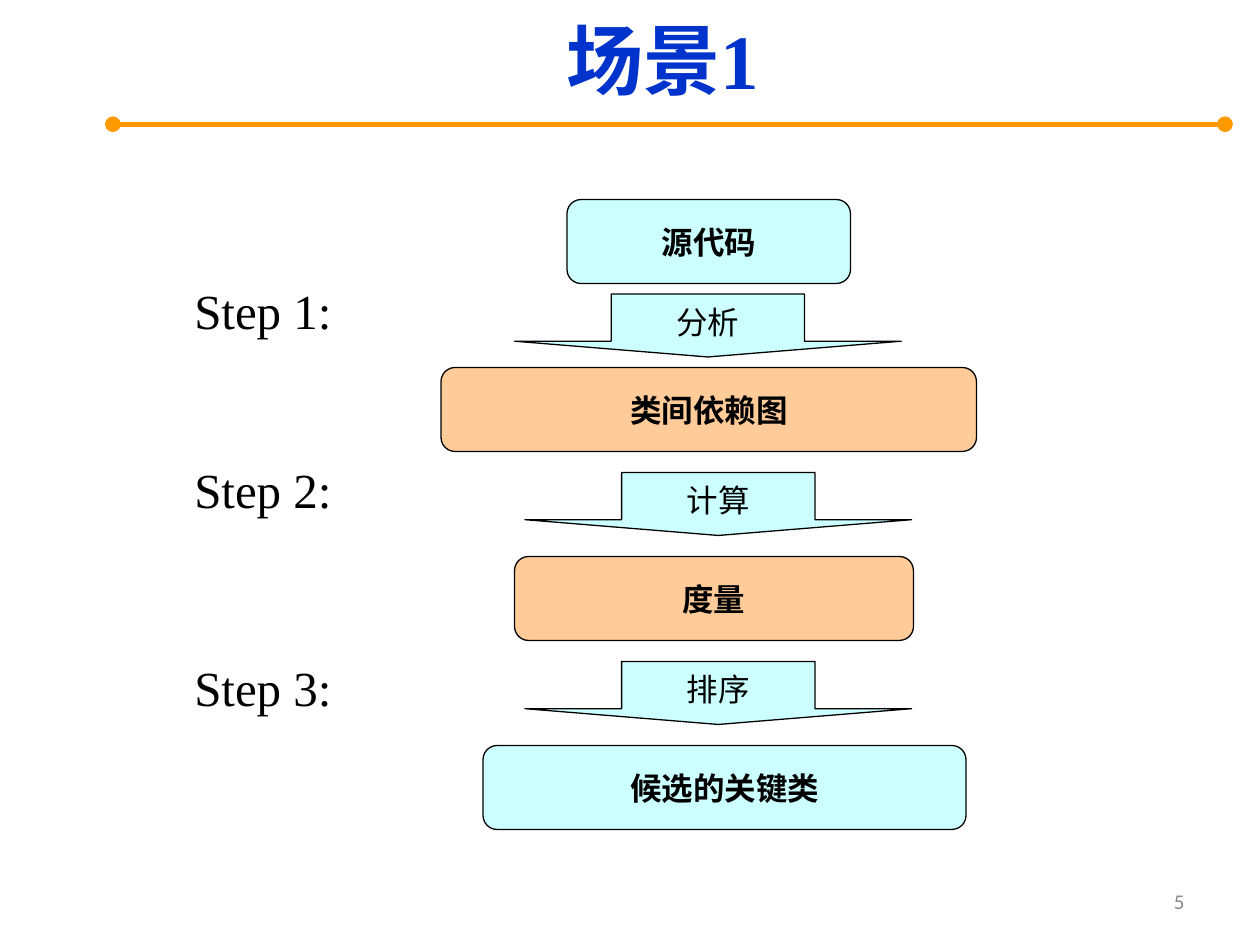
import dataclasses

import lxml.etree
import pptx
import pptx.dml.color
import pptx.enum.shapes
import pptx.enum.text
import pptx.oxml.ns
import pptx.util

Pt = pptx.util.Pt
Kind = pptx.enum.shapes.MSO_SHAPE
Align = pptx.enum.text.PP_ALIGN
Anchor = pptx.enum.text.MSO_ANCHOR
Fit = pptx.enum.text.MSO_AUTO_SIZE
qn = pptx.oxml.ns.qn

AQUA = "CCFFFF"
PEACH = "FFCC99"
SERIF = "Times New Roman"


@dataclasses.dataclass
class Box:
    text: str
    left: float
    top: float
    width: float
    fill: str


@dataclasses.dataclass
class Step:
    name: str
    high: float
    verb: str
    left: float
    top: float


BOXES = [
    Box("源代码", 324, 114, 162, AQUA),
    Box("类间依赖图", 252, 210, 306, PEACH),
    Box("度量", 294, 318, 228, PEACH),
    Box("候选的关键类", 276, 426, 276, AQUA),
]
STEPS = [
    Step("Step 1:", 157, "分析", 294, 168),
    Step("Step 2:", 259, "计算", 300, 270),
    Step("Step 3:", 372, "排序", 300, 378),
]


def tint(code: str) -> pptx.dml.color.RGBColor:
    return pptx.dml.color.RGBColor.from_string(code)


def write(shape, text: str, *, size=18, font="Arial", color="000000", bold=False,
          align=Align.CENTER, anchor=Anchor.MIDDLE, wrap=True, fit=Fit.NONE) -> None:
    frame = shape.text_frame
    frame.word_wrap = wrap
    frame.auto_size = fit
    frame.vertical_anchor = anchor
    para = frame.paragraphs[0]
    para.alignment = align
    run = para.add_run()
    run.text = text
    run.font.size = Pt(size)
    run.font.name = font
    run.font.bold = bold
    run.font.color.rgb = tint(color)


def block(slide, kind, left: float, top: float, width: float, height: float,
          fill: str, edge: bool = True):
    shape = slide.shapes.add_shape(kind, Pt(left), Pt(top), Pt(width), Pt(height))
    shape.shadow.inherit = False
    shape.fill.solid()
    shape.fill.fore_color.rgb = tint(fill)
    if edge:
        shape.line.color.rgb = tint("000000")
        shape.line.width = Pt(0.75)
    else:
        shape.line.fill.background()
    return shape


def label(slide, left: float, top: float, width: float, height: float):
    return slide.shapes.add_textbox(Pt(left), Pt(top), Pt(width), Pt(height))


def rule(slide, left: float, right: float, top: float) -> None:
    line = slide.shapes.add_connector(
        pptx.enum.shapes.MSO_CONNECTOR.STRAIGHT, Pt(left), Pt(top), Pt(right), Pt(top))
    line.line.color.rgb = tint("FF9900")
    line.line.width = Pt(3)
    stroke = line.line._get_or_add_ln()
    for end in ("a:headEnd", "a:tailEnd"):
        lxml.etree.SubElement(stroke, qn(end), type="oval")
    lxml.etree.SubElement(line._element.spPr, qn("a:effectLst"))


def draw_box(slide, box: Box) -> None:
    shape = block(slide, Kind.ROUNDED_RECTANGLE, box.left, box.top, box.width, 48, box.fill)
    write(shape, box.text, bold=True, wrap=False)


def draw_step(slide, step: Step) -> None:
    arrow = block(slide, Kind.DOWN_ARROW, step.left, step.top, 221, 36, AQUA)
    arrow.adjustments[0] = 0.5
    arrow.adjustments[1] = 0.25
    write(arrow, step.verb, wrap=False)
    write(label(slide, 102, step.high, 96.5, 41), step.name, size=28, font=SERIF,
          anchor=Anchor.TOP, fit=Fit.SHAPE_TO_FIT_TEXT)


def main() -> None:
    deck = pptx.Presentation()
    deck.slide_width, deck.slide_height = Pt(720), Pt(540)
    slide = deck.slides.add_slide(deck.slide_layouts[6])
    write(label(slide, 516, 500.5, 168, 28.75), "5", size=12, font="Calibri",
          color="898989", align=Align.RIGHT)
    rule(slide, 64.5, 700, 71)
    title = block(slide, Kind.RECTANGLE, 83.5, 3.5, 590.5, 54.75, "FFFFFF", edge=False)
    write(title, "场景1", size=44, font=SERIF, color="0033CC", bold=True, anchor=Anchor.TOP)
    for box in BOXES:
        draw_box(slide, box)
    for step in STEPS:
        draw_step(slide, step)
    deck.save("out.pptx")


if __name__ == "__main__":
    main()
